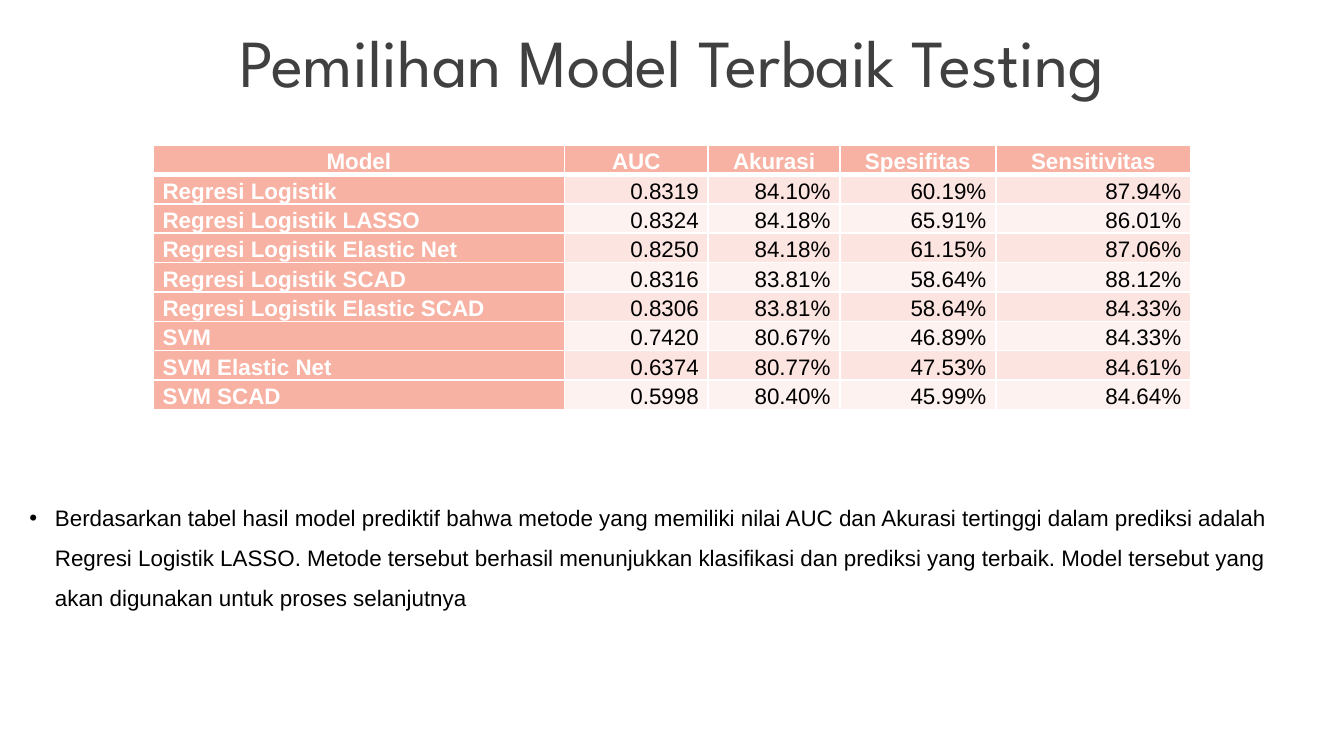
from dataclasses import dataclass

from lxml import etree
from pptx import Presentation
from pptx.dml.color import RGBColor
from pptx.enum.text import MSO_ANCHOR, MSO_AUTO_SIZE, PP_ALIGN
from pptx.oxml.ns import qn
from pptx.util import Inches, Pt

LEFT, CENTER, RIGHT = PP_ALIGN.LEFT, PP_ALIGN.CENTER, PP_ALIGN.RIGHT
TOP, MIDDLE, BOTTOM = MSO_ANCHOR.TOP, MSO_ANCHOR.MIDDLE, MSO_ANCHOR.BOTTOM
GROW = MSO_AUTO_SIZE.SHAPE_TO_FIT_TEXT

TITLE = "Pemilihan Model Terbaik Testing"
CONCLUSION = (
    "Berdasarkan tabel hasil model prediktif bahwa metode yang memiliki nilai AUC dan Akurasi "
    "tertinggi dalam prediksi adalah Regresi Logistik LASSO. Metode tersebut berhasil "
    "menunjukkan klasifikasi dan prediksi yang terbaik. Model tersebut yang akan digunakan "
    "untuk proses selanjutnya"
)
COLUMN_WIDTHS = [3.06, 1.07, 0.98, 1.16, 1.45]
RESULTS = [
    ["Model", "AUC", "Akurasi", "Spesifitas", "Sensitivitas"],
    ["Regresi Logistik", "0.8319", "84.10%", "60.19%", "87.94%"],
    ["Regresi Logistik LASSO", "0.8324", "84.18%", "65.91%", "86.01%"],
    ["Regresi Logistik Elastic Net", "0.8250", "84.18%", "61.15%", "87.06%"],
    ["Regresi Logistik SCAD", "0.8316", "83.81%", "58.64%", "88.12%"],
    ["Regresi Logistik Elastic SCAD", "0.8306", "83.81%", "58.64%", "84.33%"],
    ["SVM", "0.7420", "80.67%", "46.89%", "84.33%"],
    ["SVM Elastic Net", "0.6374", "80.77%", "47.53%", "84.61%"],
    ["SVM SCAD", "0.5998", "80.40%", "45.99%", "84.64%"],
]


@dataclass(frozen=True)
class Theme:
    title_font: str = "League Spartan"
    body_font: str = "Arial"
    title_size: int = 36
    body_size: int = 12
    title_color: str = "404040"
    text_color: str = "000000"
    white: str = "FFFFFF"
    accent: str = "F8B2A3"
    bands: tuple = ("FEF2F0", "FCE4E0")
    thin: int = 1
    thick: int = 3


class SlideBuilder:
    def __init__(self, page, theme):
        self.page = page
        self.theme = theme

    def style(self, para, font, size, color, align, bold=False):
        para.alignment = align
        for span in para.runs:
            span.font.name = font
            span.font.size = Pt(size)
            span.font.bold = bold
            span.font.color.rgb = RGBColor.from_string(color)

    def text_box(self, text, left, top, width, height, anchor):
        box = self.page.shapes.add_textbox(
            Inches(left), Inches(top), Inches(width), Inches(height)
        )
        frame = box.text_frame
        frame.word_wrap = True
        frame.vertical_anchor = anchor
        frame.text = text
        return frame

    def title(self, text, left, top, width, height):
        theme = self.theme
        para = self.text_box(text, left, top, width, height, MIDDLE).paragraphs[0]
        self.style(para, theme.title_font, theme.title_size, theme.title_color, CENTER)
        para.space_before = Pt(theme.title_size * 0.2)

    def bullet(self, text, left, top, width, height, indent):
        theme = self.theme
        frame = self.text_box(text, left, top, width, height, TOP)
        frame.auto_size = GROW
        para = frame.paragraphs[0]
        self.style(para, theme.body_font, theme.body_size, theme.text_color, LEFT)
        para.line_spacing = 1.5
        properties = para._p.get_or_add_pPr()
        properties.set("marL", str(Inches(indent)))
        properties.set("indent", str(-Inches(indent)))
        etree.SubElement(properties, qn("a:buFont"), typeface=theme.body_font)
        etree.SubElement(properties, qn("a:buChar"), char="•")

    def borders(self, cell, top, bottom):
        theme = self.theme
        properties = cell._tc.get_or_add_tcPr()
        weights = {"lnL": theme.thin, "lnR": theme.thin, "lnT": top, "lnB": bottom}
        for side, weight in weights.items():
            line = etree.SubElement(properties, qn(f"a:{side}"), w=str(Pt(weight)))
            fill = etree.SubElement(line, qn("a:solidFill"))
            etree.SubElement(fill, qn("a:srgbClr"), val=theme.white)

    def cell(self, cell, text, row, column):
        theme = self.theme
        is_heading = row == 0 or column == 0
        self.borders(
            cell,
            top=theme.thick if row == 1 else theme.thin,
            bottom=theme.thick if row == 0 else theme.thin,
        )
        cell.fill.solid()
        fill = theme.accent if is_heading else theme.bands[row % 2]
        cell.fill.fore_color.rgb = RGBColor.from_string(fill)
        cell.vertical_anchor = BOTTOM
        cell.margin_left = cell.margin_right = Inches(0.07)
        cell.margin_top = cell.margin_bottom = 0
        cell.text_frame.text = text
        para = cell.text_frame.paragraphs[0]
        align = CENTER if row == 0 else LEFT if column == 0 else RIGHT
        color = theme.white if is_heading else theme.text_color
        self.style(para, theme.body_font, theme.body_size, color, align, is_heading)
        para.line_spacing = 1.08
        para.space_after = Pt(10)

    def table(self, rows, widths, left, top, height):
        table = self.page.shapes.add_table(
            len(rows), len(widths),
            Inches(left), Inches(top), Inches(sum(widths)), Inches(height),
        ).table
        table.first_col = True
        for column, width in zip(table.columns, widths):
            column.width = Inches(width)
        for row, texts in enumerate(rows):
            for column, text in enumerate(texts):
                self.cell(table.cell(row, column), text, row, column)


def main():
    deck = Presentation()
    deck.slide_width = Inches(10)
    deck.slide_height = Inches(10) * 9 // 16
    page = deck.slides.add_slide(deck.slide_layouts[6])
    builder = SlideBuilder(page, Theme())
    builder.title(TITLE, 0, 0.14, 10, 0.63)
    builder.table(RESULTS, COLUMN_WIDTHS, left=1.14, top=1.08, height=1.97)
    builder.bullet(CONCLUSION, 0.12, 3.6, 9.75, 1.01, indent=0.19)
    deck.save("out.pptx")


if __name__ == "__main__":
    main()
